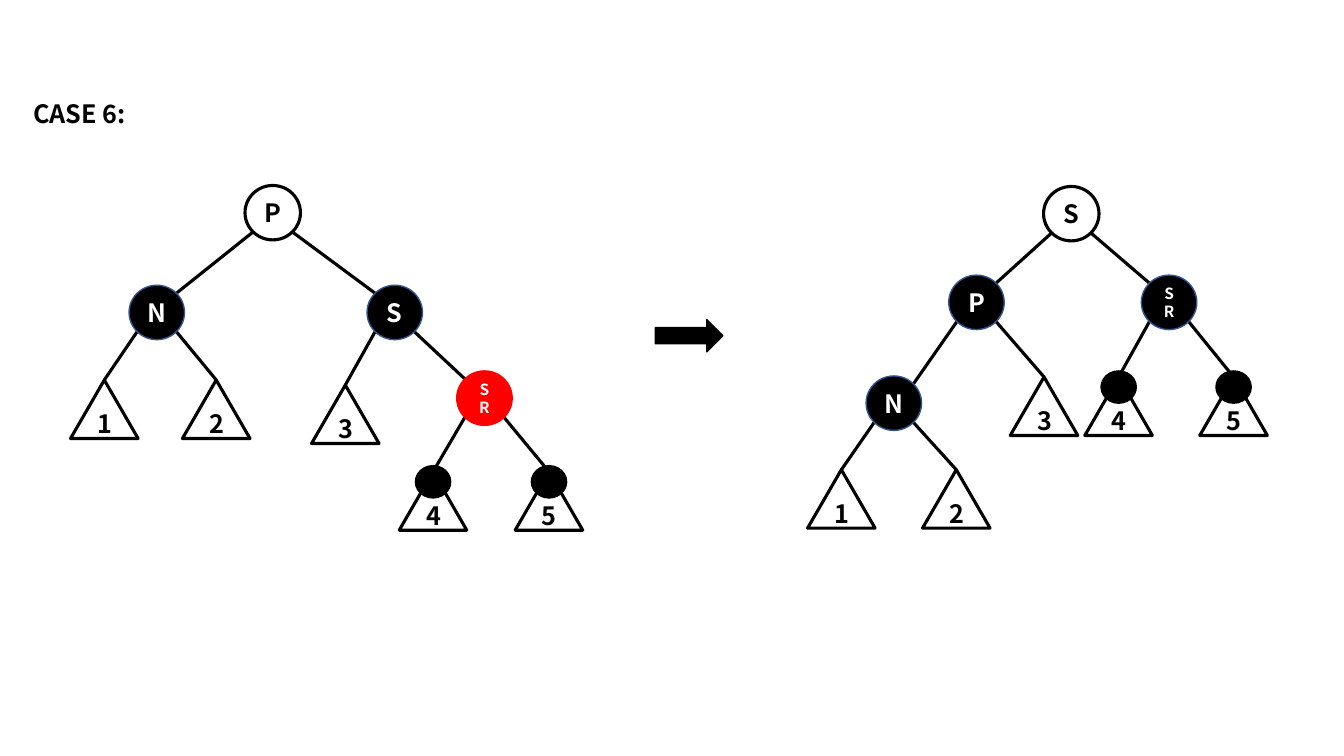
"""Builds the slide showing case 6 of red-black tree deletion."""
from dataclasses import dataclass
from typing import Optional

from lxml import etree
from pptx import Presentation
from pptx.dml.color import RGBColor
from pptx.enum.shapes import MSO_CONNECTOR, MSO_SHAPE
from pptx.enum.text import MSO_ANCHOR, MSO_AUTO_SIZE, PP_ALIGN
from pptx.oxml.ns import qn
from pptx.util import Emu, Pt

OVAL, TRIANGLE = MSO_SHAPE.OVAL, MSO_SHAPE.ISOSCELES_TRIANGLE
ARROW, STRAIGHT = MSO_SHAPE.RIGHT_ARROW, MSO_CONNECTOR.STRAIGHT
MIDDLE, CENTER, LEFT = MSO_ANCHOR.MIDDLE, PP_ALIGN.CENTER, PP_ALIGN.LEFT
GROW = MSO_AUTO_SIZE.SHAPE_TO_FIT_TEXT

EMU_PER_PX = 9144
FONT = "Noto Sans CJK SC"
BLACK, WHITE, RED, BLUE = "000000", "FFFFFF", "FF0000", "325491"
THICK, THIN = 2.25, 1
DIAGONAL = 0.707


@dataclass(frozen=True)
class Style:
    preset: int
    width: int
    height: int
    fill: Optional[str]
    line: str
    weight: float
    color: str = BLACK
    size: int = 18


@dataclass(frozen=True)
class Node:
    label: str
    style: Style
    left: int
    top: int
    children: tuple["Node", ...] = ()
    dotted: bool = False

    @property
    def mid_x(self) -> float:
        return self.left + self.style.width / 2

    @property
    def mid_y(self) -> float:
        return self.top + self.style.height / 2


PLAIN = Style(OVAL, 55, 54, None, BLACK, THICK)
DARK = Style(OVAL, 55, 54, BLACK, BLUE, THIN, WHITE)
DARK_SMALL = Style(OVAL, 55, 54, BLACK, BLUE, THIN, WHITE, 11)
RED_SMALL = Style(OVAL, 55, 54, RED, RED, THIN, WHITE, 11)
SUBTREE = Style(TRIANGLE, 67, 58, None, BLACK, THICK)
DOT = Style(OVAL, 35, 32, BLACK, BLACK, THIN)
STEP = Style(ARROW, 67, 32, BLACK, BLACK, THIN)

BEFORE = Node("P", PLAIN, 243, 184, (
    Node("N", DARK, 128, 283, (
        Node("1", SUBTREE, 70, 377),
        Node("2", SUBTREE, 181, 377))),
    Node("S", DARK, 364, 283, (
        Node("3", SUBTREE, 309, 382),
        Node("SR", RED_SMALL, 453, 368, (
            Node("4", SUBTREE, 396, 468, dotted=True),
            Node("5", SUBTREE, 511, 468, dotted=True)))))))
AFTER = Node("S", PLAIN, 1035, 185, (
    Node("P", DARK, 941, 273, (
        Node("N", DARK, 859, 373, (
            Node("1", SUBTREE, 801, 466),
            Node("2", SUBTREE, 915, 466))),
        Node("3", SUBTREE, 1002, 374))),
    Node("SR", DARK_SMALL, 1132, 273, (
        Node("4", SUBTREE, 1076, 374, dotted=True),
        Node("5", SUBTREE, 1190, 374, dotted=True)))))


def px(n: float) -> Emu:
    """Turn px into EMU."""
    return Emu(round(n * EMU_PER_PX))


def rgb(color: str) -> RGBColor:
    """Turn a hex string into a colour."""
    return RGBColor.from_string(color)


def write(tf, text: str, *, size: int = 18, color: str = BLACK, align=CENTER) -> None:
    """Put one bold run into a text frame."""
    p = tf.paragraphs[0]
    p.alignment = align
    r = p.add_run()
    r.text = text
    r.font.name, r.font.size, r.font.bold = FONT, Pt(size), True
    r.font.color.rgb = rgb(color)


def add_figure(s, style: Style, left: int, top: int, label: str = "") -> None:
    """Draw a preset shape with an optional centred label."""
    sp = s.shapes.add_shape(style.preset, px(left), px(top), px(style.width), px(style.height))
    sp.shadow.inherit = False
    if style.fill:
        sp.fill.solid()
        sp.fill.fore_color.rgb = rgb(style.fill)
    else:
        sp.fill.background()
    sp.line.color.rgb = rgb(style.line)
    sp.line.width = Pt(style.weight)
    if label:
        tf = sp.text_frame
        tf.word_wrap, tf.vertical_anchor = True, MIDDLE
        write(tf, label, size=style.size, color=style.color)


def add_edge(s, parent: Node, child: Node) -> None:
    """Join the rim of a parent to the facing rim or apex of its child."""
    side = 1 if child.mid_x > parent.mid_x else -1
    dx, dy = (DIAGONAL * n / 2 for n in (parent.style.width, parent.style.height))
    end = (child.mid_x, child.top)
    if child.style.preset == OVAL:
        end = (child.mid_x - side * dx, child.mid_y - dy)
    start = (parent.mid_x + side * dx, parent.mid_y + dy)
    line = s.shapes.add_connector(STRAIGHT, *map(px, start + end))
    line.line.color.rgb = rgb(BLACK)
    line.line.width = Pt(THICK)
    etree.SubElement(line._element.spPr, qn("a:effectLst"))


def add_tree(s, node: Node) -> None:
    """Draw a node with its edges and everything below it."""
    for child in node.children:
        add_edge(s, node, child)
        add_tree(s, child)
    if node.dotted:
        add_figure(s, DOT, node.left + 16, node.top - 6)
    add_figure(s, node.style, node.left, node.top, node.label)


def main() -> None:
    """Build and save the slide."""
    prs = Presentation()
    prs.slide_width, prs.slide_height = px(1333), px(750)
    s = prs.slides.add_slide(prs.slide_layouts[6])
    tf = s.shapes.add_textbox(px(23), px(93), px(140), px(40)).text_frame
    tf.word_wrap, tf.auto_size = True, GROW
    write(tf, "CASE 6:", align=LEFT)
    for tree in (BEFORE, AFTER):
        add_tree(s, tree)
    add_figure(s, STEP, 650, 317)
    prs.save("out.pptx")


if __name__ == "__main__":
    main()
